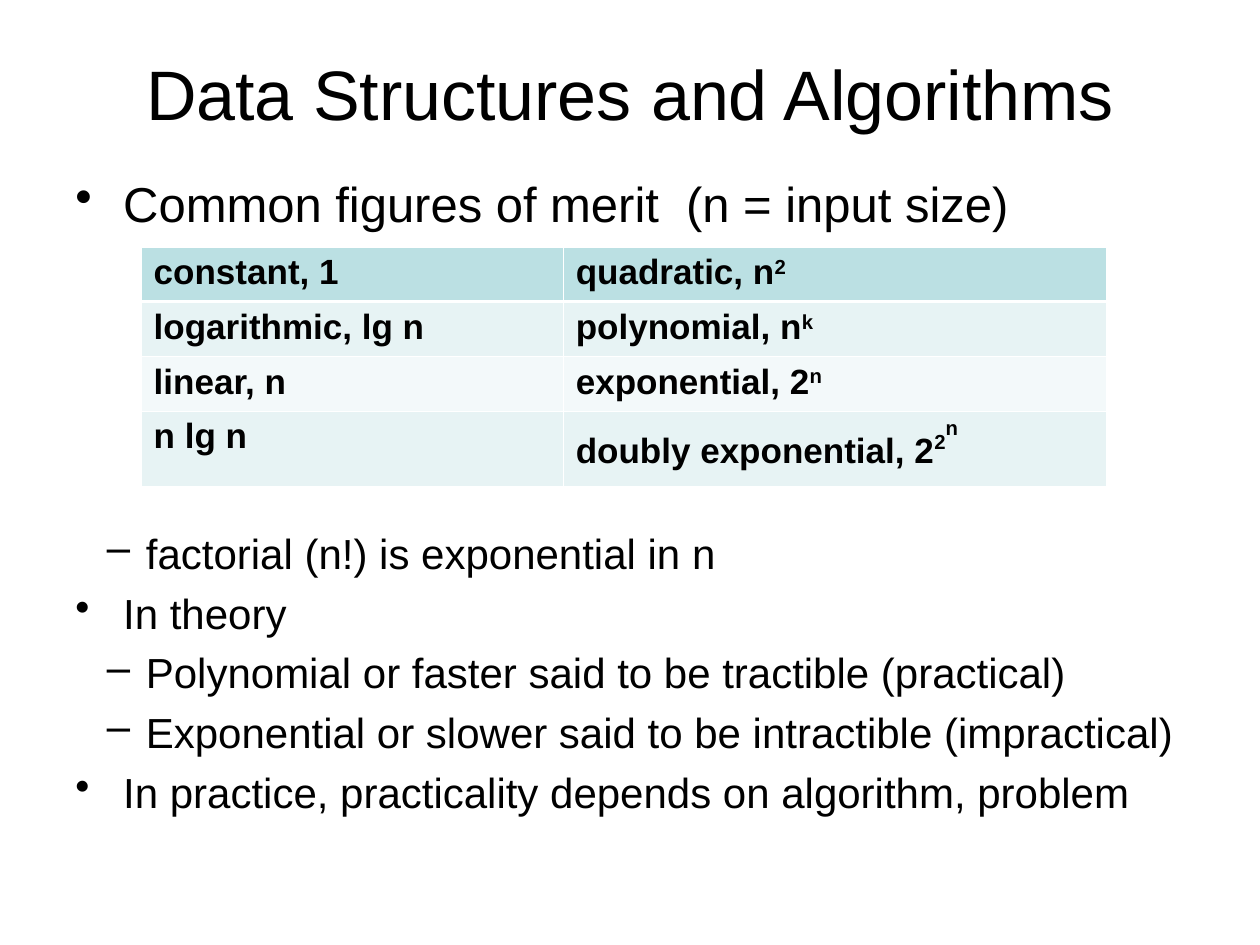
from lxml import etree
from pptx import Presentation
from pptx.dml.color import RGBColor
from pptx.enum.text import MSO_ANCHOR, PP_ALIGN
from pptx.oxml.ns import qn
from pptx.util import Inches, Pt

CENTER = PP_ALIGN.CENTER
LEFT = PP_ALIGN.LEFT
MIDDLE = MSO_ANCHOR.MIDDLE
TOP = MSO_ANCHOR.TOP

COLUMNS, ROWS = 100, 75
MARKS = [("•", 3.8, 3.8), ("–", 5.6, 3.1)]
TABLE_GAP = 164.5
POINTS = [
    ("Common figures of merit  (n = input size)", 0, 28, 0),
    ("factorial (n!) is exponential in n", 1, 24, TABLE_GAP),
    ("In theory", 0, 24, 1.3),
    ("Polynomial or faster said to be tractible (practical)", 1, 24, 1.3),
    ("Exponential or slower said to be intractible (impractical)", 1, 24, 1.3),
    ("In practice, practicality depends on algorithm, problem", 0, 24, 1.3),
]
GROWTH_RATES = [
    [[("constant, 1", 0)], [("quadratic, n", 0), ("2", 30)]],
    [[("logarithmic, lg n", 0)], [("polynomial, n", 0), ("k", 30)]],
    [[("linear, n", 0)], [("exponential, 2", 0), ("n", 30)]],
    [[("n lg n", 0)], [("doubly exponential, 2", 0), ("2", 40), ("n", 80)]],
]
ROW_FILLS = ["BBE0E3", "E7F3F4", "F3F9FA", "E7F3F4"]


def color(value):
    return RGBColor.from_string(value)


class SlideBuilder:
    font = "Arial"
    ink = "000000"
    rule = "FFFFFF"

    def __init__(self, deck):
        self.unit = deck.slide_width / COLUMNS
        self.slide = deck.slides.add_slide(deck.slide_layouts[6])

    def grid(self, *lengths):
        return [round(length * self.unit) for length in lengths]

    def style(self, para, size, bold=False, align=LEFT):
        para.alignment = align
        para.font.name = self.font
        para.font.size = Pt(size)
        para.font.bold = bold
        para.font.color.rgb = color(self.ink)

    def text_frame(self, place, anchor):
        frame = self.slide.shapes.add_textbox(*self.grid(*place)).text_frame
        frame.word_wrap = True
        frame.vertical_anchor = anchor
        return frame

    def title(self, text, place):
        para = self.text_frame(place, MIDDLE).paragraphs[0]
        para.text = text
        self.style(para, 40, align=CENTER)

    def bullets(self, points, place):
        frame = self.text_frame(place, TOP)
        frame.margin_top = Inches(0.08)
        for index, (text, level, size, before) in enumerate(points):
            para = frame.add_paragraph() if index else frame.paragraphs[0]
            para.text = text
            para.level = level
            para.space_before = Pt(before)
            para.space_after = Pt(4)
            mark, margin, hang = MARKS[level]
            left, indent = self.grid(margin, -hang)
            properties = para._p.get_or_add_pPr()
            properties.set("marL", str(left))
            properties.set("indent", str(indent))
            etree.SubElement(properties, qn("a:buChar"), char=mark)
            self.style(para, size)

    def border(self, cell, side, width):
        properties = cell._tc.get_or_add_tcPr()
        line = etree.SubElement(properties, qn(f"a:ln{side}"), w=str(Pt(width)))
        fill = etree.SubElement(line, qn("a:solidFill"))
        etree.SubElement(fill, qn("a:srgbClr"), val=self.rule)

    def table(self, rows, fills, place, widths, heights):
        shape = self.slide.shapes.add_table(len(rows), len(widths), *self.grid(*place))
        table = shape.table
        for column, width in zip(table.columns, self.grid(*widths)):
            column.width = width
        for row, height in zip(table.rows, self.grid(*heights)):
            row.height = height
        for row_index, row in enumerate(rows):
            for column_index, spans in enumerate(row):
                cell = table.cell(row_index, column_index)
                self.fill_cell(cell, spans, fills[row_index], row_index)

    def fill_cell(self, cell, spans, fill, row_index):
        thick_side = {0: "B", 1: "T"}.get(row_index)
        for side in "LRTB":
            self.border(cell, side, 1.47 if side == thick_side else 0.45)
        cell.fill.solid()
        cell.fill.fore_color.rgb = color(fill)
        para = cell.text_frame.paragraphs[0]
        for text, raised in spans:
            span = para.add_run()
            span.text = text
            if raised:
                span._r.get_or_add_rPr().set("baseline", str(raised * 1000))
        self.style(para, 20, bold=True)


def main():
    deck = Presentation()
    deck.slide_width = Inches(COLUMNS / 10)
    deck.slide_height = Inches(ROWS / 10)
    builder = SlideBuilder(deck)
    builder.title("Data Structures and Algorithms", (5, 3, 90, 8.7))
    builder.bullets(POINTS, (5, 13, 90, 54))
    builder.table(
        GROWTH_RATES, ROW_FILLS, (11.2, 19.6, 76.6, 18.9), (33.5, 43.1), (4.3, 4.3, 4.3, 6)
    )
    deck.save("out.pptx")


if __name__ == "__main__":
    main()
